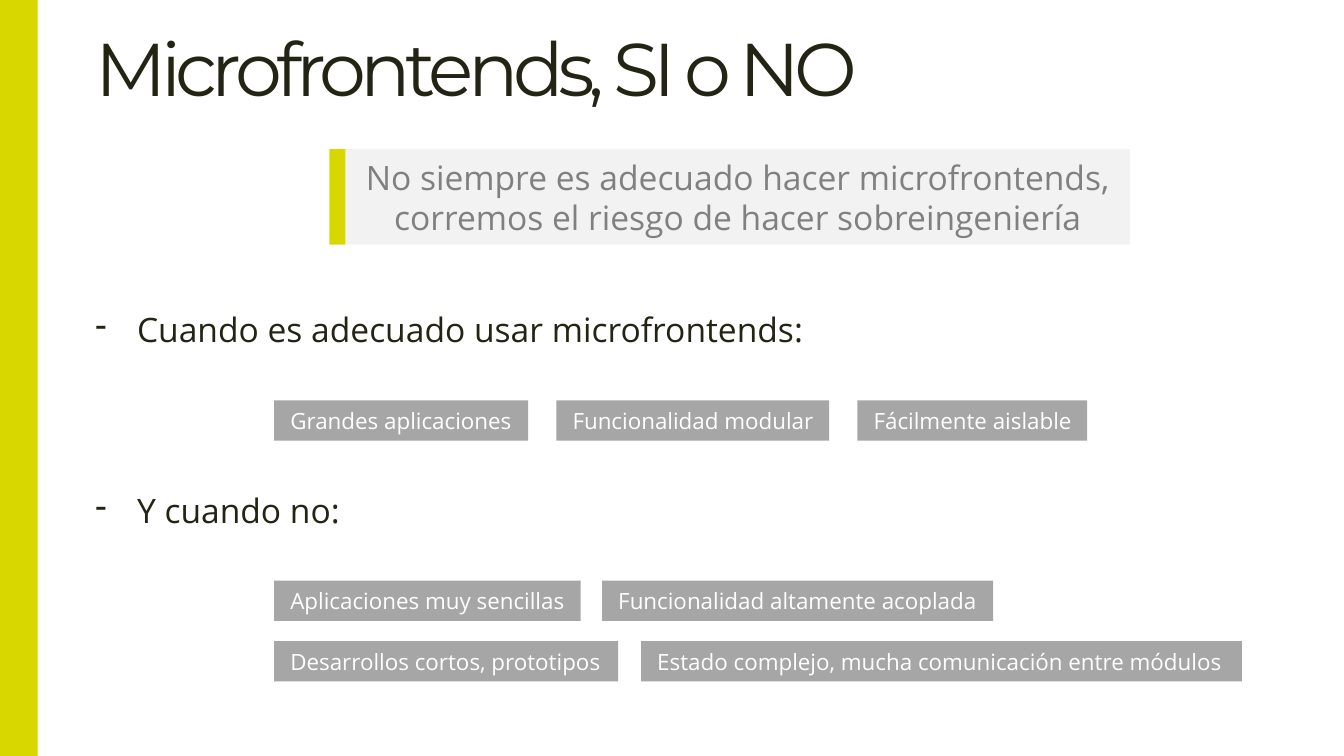
from pptx import Presentation
from pptx.dml.color import RGBColor
from pptx.enum.shapes import MSO_SHAPE
from pptx.enum.text import MSO_ANCHOR, MSO_AUTO_SIZE, PP_ALIGN
from pptx.oxml.ns import qn
from pptx.util import Inches, Pt
from lxml import etree

RECTANGLE = MSO_SHAPE.RECTANGLE
TOP, MIDDLE, BOTTOM = MSO_ANCHOR.TOP, MSO_ANCHOR.MIDDLE, MSO_ANCHOR.BOTTOM
FIT_SHAPE, FIXED = MSO_AUTO_SIZE.SHAPE_TO_FIT_TEXT, MSO_AUTO_SIZE.NONE
LEFT, CENTER = PP_ALIGN.LEFT, PP_ALIGN.CENTER

WIDTH = 10
HEIGHT = WIDTH * 9 / 16
MARGIN, TEXT_WIDTH = 0.71, 9.02
TAG_LEFT, TAG_HEIGHT = 2.04, 0.3
QUOTE_TOP, QUOTE_HEIGHT = 1.11, 0.71
INDENT = 0.31
HEADING_FONT, BODY_FONT = "Montserrat", "Open Sans"
COLORS = {
    "accent": "D8D800",
    "ink": "242415",
    "panel": "F2F2F2",
    "quote": "808080",
    "tag": "A6A6A6",
    "white": "FFFFFF",
}
QUOTE = [
    "No siempre es adecuado hacer microfrontends,",
    "corremos el riesgo de hacer sobreingeniería",
]
BULLETS = [(2.25, "Cuando es adecuado usar microfrontends:"), (3.6, "Y cuando no:")]
TAG_ROWS = [
    (2.98, 0.21, [("Grandes aplicaciones", 1.89), ("Funcionalidad modular", 2.03),
                  ("Fácilmente aislable", 1.71)]),
    (4.32, 0.16, [("Aplicaciones muy sencillas", 2.28),
                  ("Funcionalidad altamente acoplada", 2.91)]),
    (4.77, 0.17, [("Desarrollos cortos, prototipos", 2.56),
                  ("Estado complejo, mucha comunicación entre módulos", 4.47)]),
]


def color(name):
    """Return the named colour."""
    return RGBColor.from_string(COLORS[name])


def add_rectangle(shapes, left, top, width, height, fill):
    """Add a flat rectangle without an outline."""
    shape = shapes.add_shape(
        RECTANGLE, Inches(left), Inches(top), Inches(width), Inches(height))
    shape.shadow.inherit = False
    shape.fill.solid()
    shape.fill.fore_color.rgb = color(fill)
    shape.line.fill.background()
    return shape


def set_frame(shape, left, right, anchor=TOP, wrap=False, fit=FIT_SHAPE):
    """Set the insets, anchor and wrapping of a text frame."""
    frame = shape.text_frame
    frame.margin_left, frame.margin_right = Inches(left), Inches(right)
    frame.margin_top = frame.margin_bottom = Inches(0.05)
    frame.vertical_anchor = anchor
    frame.word_wrap = wrap
    frame.auto_size = fit
    return frame


def write(paragraph, text, size, ink, font=BODY_FONT, align=LEFT):
    """Write one run into a paragraph and return it."""
    paragraph.alignment = align
    run = paragraph.add_run()
    run.text = text
    run.font.name = font
    run.font.size = Pt(size)
    run.font.color.rgb = color(ink)
    return run


def add_text_box(slide, top, height, anchor=TOP, fit=FIT_SHAPE):
    """Add a wrapping text box at the left margin and return its paragraph."""
    box = slide.shapes.add_textbox(
        Inches(MARGIN), Inches(top), Inches(TEXT_WIDTH), Inches(height))
    return set_frame(box, 0, 0.1, anchor, True, fit).paragraphs[0]


def add_title(slide, text):
    """Add the tightly spaced title."""
    paragraph = add_text_box(slide, 0, 0.89, BOTTOM, FIXED)
    paragraph.line_spacing = 0.9
    run = write(paragraph, text, 40, "ink", HEADING_FONT)
    run.font._element.set("spc", "-300")


def add_bullet(slide, top, text):
    """Add a line with a hanging dash."""
    paragraph = add_text_box(slide, top, 0.4)
    properties = paragraph._p.get_or_add_pPr()
    properties.set("marL", str(Inches(INDENT)))
    properties.set("indent", str(-Inches(INDENT)))
    etree.SubElement(properties, qn("a:buChar")).set("char", "-")
    write(paragraph, text, 18, "ink")


def add_quote(slide, lines):
    """Add the grouped panel with its accent bar."""
    shapes = slide.shapes.add_group_shape().shapes
    panel = add_rectangle(shapes, 2.57, QUOTE_TOP, 5.84, QUOTE_HEIGHT, "panel")
    frame = set_frame(panel, 0.12, 0.12, MIDDLE)
    for index, line in enumerate(lines):
        paragraph = frame.add_paragraph() if index else frame.paragraphs[0]
        write(paragraph, line, 18, "quote", align=CENTER)
    add_rectangle(shapes, 2.45, QUOTE_TOP, 0.12, QUOTE_HEIGHT, "accent")


def add_tag_row(slide, top, gap, tags):
    """Add a row of tags separated by an equal gap."""
    left = TAG_LEFT
    for text, width in tags:
        tag = add_rectangle(slide.shapes, left, top, width, TAG_HEIGHT, "tag")
        write(set_frame(tag, 0.12, 0.1).paragraphs[0], text, 12, "white")
        left += width + gap


def main():
    """Build and save the slide."""
    presentation = Presentation()
    presentation.slide_width = Inches(WIDTH)
    presentation.slide_height = Inches(HEIGHT)
    slide = presentation.slides.add_slide(presentation.slide_layouts[6])
    add_title(slide, "Microfrontends, SI o NO")
    add_rectangle(slide.shapes, 0, 0, 0.28, HEIGHT, "accent")
    add_quote(slide, QUOTE)
    for top, text in BULLETS:
        add_bullet(slide, top, text)
    for top, gap, tags in TAG_ROWS:
        add_tag_row(slide, top, gap, tags)
    presentation.save("out.pptx")


if __name__ == "__main__":
    main()
